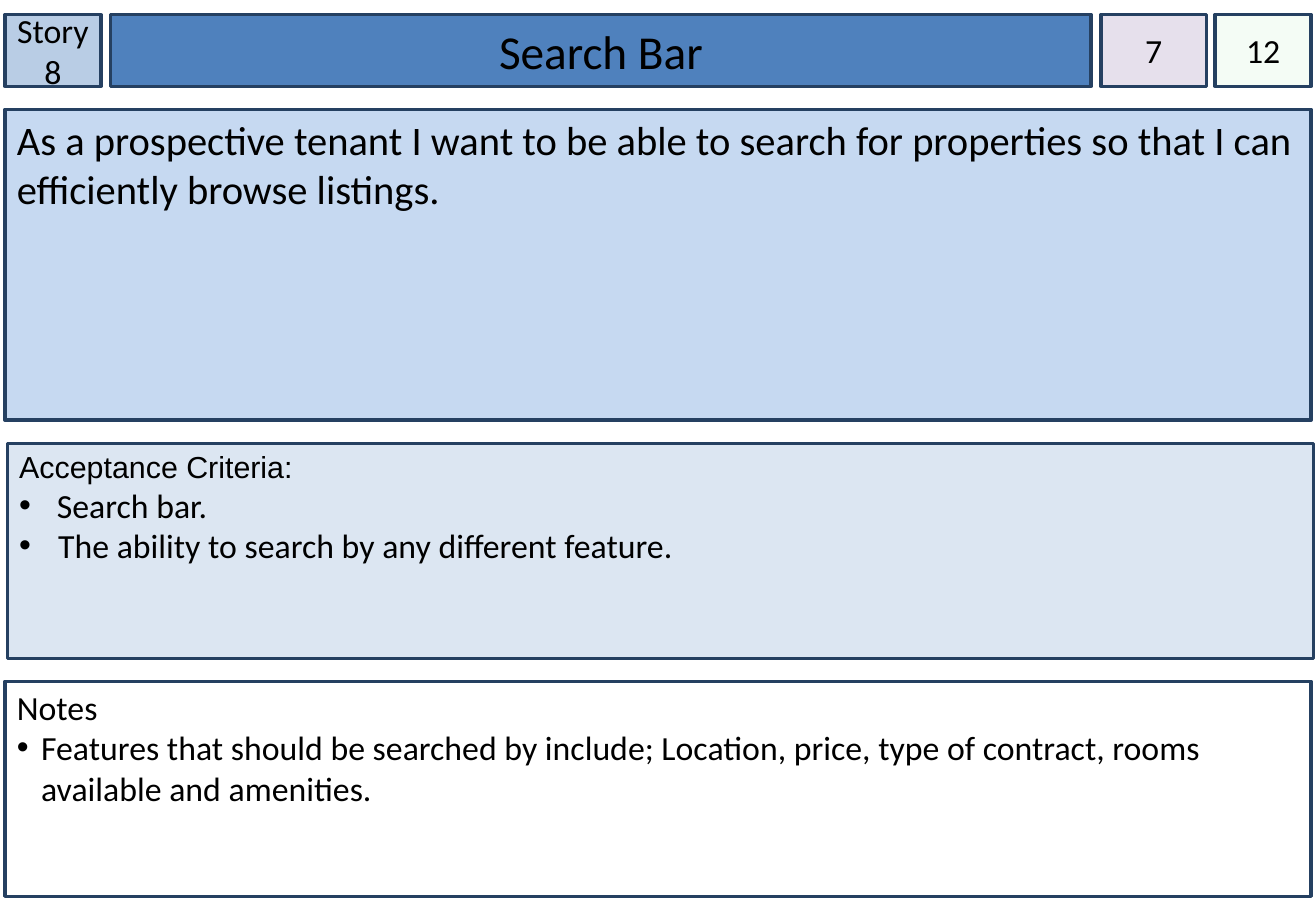
from lxml import etree
from pptx import Presentation
from pptx.dml.color import RGBColor
from pptx.enum.shapes import MSO_SHAPE
from pptx.enum.text import MSO_ANCHOR, PP_ALIGN
from pptx.oxml.ns import qn
from pptx.util import Pt

RECT = MSO_SHAPE.RECTANGLE
TOP, MIDDLE = MSO_ANCHOR.TOP, MSO_ANCHOR.MIDDLE
LEFT, CENTER = PP_ALIGN.LEFT, PP_ALIGN.CENTER

SCALE = 9144  # EMU per px, 100 px to the inch
COLORS = {
    "edge": "254061", "text": "000000", "story": "B9CDE5", "title": "4F81BD",
    "body": "C6D9F1", "accept": "DCE6F2", "green": "CCF0CD",
    "lilac": "E6E0EC", "notes": "FFFFFF",
}


def px(n):
    return n * SCALE


def color(name):
    return RGBColor.from_string(COLORS[name])


class Card:
    def __init__(self, deck):
        self.slide = deck.slides.add_slide(deck.slide_layouts[6])
        self.font = "Calibri"

    def box(self, x, y, w, h, fill, inset, anchor, alpha=None):
        """Draw an outlined box and return its text frame."""
        shape = self.slide.shapes.add_shape(RECT, px(x), px(y), px(w), px(h))
        shape.shadow.inherit = False
        shape.fill.solid()
        shape.fill.fore_color.rgb = color(fill)
        if alpha:
            tint = shape._element.xpath("./p:spPr/a:solidFill/a:srgbClr")[0]
            etree.SubElement(tint, qn("a:alpha"), val=str(alpha * 1000))
        shape.line.color.rgb = color("edge")
        shape.line.width = Pt(2)
        frame = shape.text_frame
        frame.word_wrap = True
        frame.vertical_anchor = anchor
        left, top = inset
        frame.margin_left = frame.margin_right = px(left)
        frame.margin_top, frame.margin_bottom = px(top), px(5)
        return frame

    def style(self, para, size, align, font=None):
        para.alignment = align
        for run in para.runs:
            run.font.size = Pt(size)
            run.font.name = font or self.font
            run.font.color.rgb = color("text")

    def label(self, x, w, text, fill, size=20, side=0, alpha=None):
        """Add one centred cell of the top row."""
        frame = self.box(x, 12, w, 59, fill, (side, 5), MIDDLE, alpha)
        frame.text = text
        self.style(frame.paragraphs[0], size, CENTER)

    def panel(self, x, y, h, fill, head, size, font=None, top=4, items=()):
        """Add a full-width box with a heading and (text, indent) bullets."""
        frame = self.box(x, y, 1075, h, fill, (10, top), TOP)
        frame.text = head
        self.style(frame.paragraphs[0], size, LEFT, font)
        for text, indent in items:
            para = frame.add_paragraph()
            para.text = text
            self.bullet(para, indent)
            self.style(para, 20, LEFT)

    def bullet(self, para, indent):
        props = para._p.get_or_add_pPr()
        props.set("marL", str(px(indent)))
        props.set("indent", str(-px(indent)))
        etree.SubElement(props, qn("a:buFont"), typeface="Arial")
        etree.SubElement(props, qn("a:buChar"), char="•")


def main():
    deck = Presentation()
    deck.slide_width, deck.slide_height = px(1083), px(750)
    card = Card(deck)

    # Top row: story number, title, two scores
    card.label(4, 79, "Story 8", "story")
    card.label(91, 807, "Search Bar", "title", size=28, side=10)
    card.label(906, 87, "7", "lilac")
    card.label(1000, 79, "12", "green", alpha=20)

    # Story text
    card.panel(4, 90, 256, "body",
               "As a prospective tenant I want to be able to search for "
               "properties so that I can efficiently browse listings.",
               24, top=5)

    # Acceptance criteria
    card.panel(6, 365, 177, "accept", "Acceptance Criteria:", 18, "Arial",
               items=[("Search bar.", 31),
                      ("The ability to search by any different feature.", 32)])

    # Notes
    card.panel(4, 561, 177, "notes", "Notes", 20,
               items=[("Features that should be searched by include; Location, "
                       "price, type of contract, rooms available and amenities.",
                       20)])

    deck.save("out.pptx")


if __name__ == "__main__":
    main()
